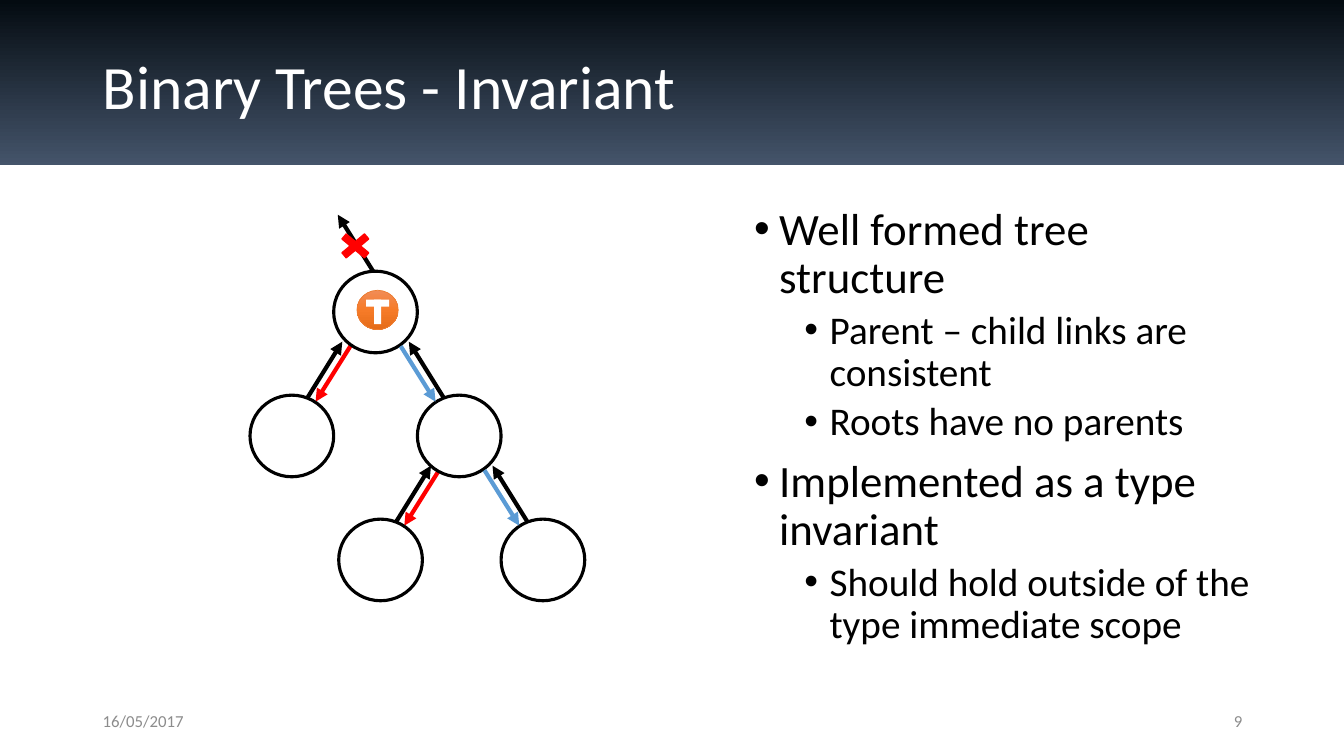
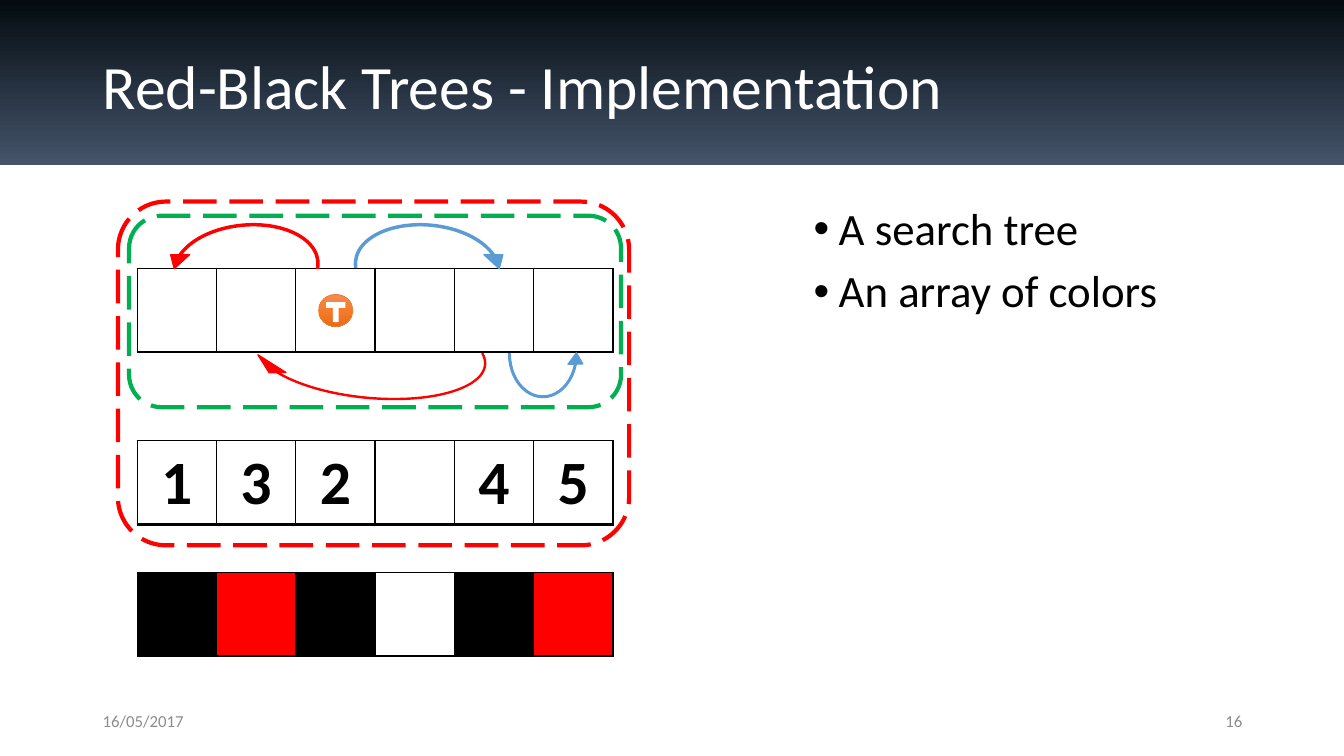
import copy

import lxml.etree
import pptx
import pptx.dml.color
import pptx.enum.dml
import pptx.enum.shapes
import pptx.enum.text
import pptx.oxml.ns
import pptx.util

COLORS = {
    "white": "FFFFFF", "black": "000000", "red": "FF0000", "green": "00B050",
    "blue": "5B9BD5", "orange": "ED7D31", "grey": "8C8C8C",
}
BAND_STOPS = [(0, "040B11"), (1, "44546A")]
BADGE_STOPS = [(0, "F18C57"), (0.5, "F67B28"), (1, "E56C19")]

# The slide is a grid of square cells, 133.3 columns by 75 rows.
CELL = pptx.util.Inches(0.1)
COLUMNS, ROWS = 133.3, 75
ARRAY_LEFT, ARRAY_WIDTH, ARRAY_HEIGHT = 13.6, 47.2, 8.3
NODE_WIDTH, NODE_HEIGHT = 8.3, 8.1

SHAPE = pptx.enum.shapes.MSO_SHAPE
ALIGN = pptx.enum.text.PP_ALIGN
MIDDLE = pptx.enum.text.MSO_ANCHOR.MIDDLE
FONT = {"name": "Calibri", "bold": False}
TITLE_FONT = FONT | {"size": pptx.util.Pt(44)}
FOOTER_FONT = FONT | {"size": pptx.util.Pt(12)}
KEY_FONT = TITLE_FONT | {"bold": True}
BULLET_LEVELS = [
    {"size": 32, "margin": 0.25, "before": 10},
    {"size": 28, "margin": 0.75, "before": 5},
]
BULLET_HANG = pptx.util.Inches(0.25)


def grid(*lengths):
    return [round(length * CELL) for length in lengths]


def rgb(name):
    return pptx.dml.color.RGBColor.from_string(COLORS.get(name, name))


def apply_format(target, values):
    for name, value in values.items():
        setattr(target, name, value)


def add_element(parent, tag, **attributes):
    return lxml.etree.SubElement(parent, pptx.oxml.ns.qn(tag), attributes)


def paint(fill, color):
    if color is None:
        fill.background()
    else:
        fill.solid()
        fill.fore_color.rgb = rgb(color)


def paint_gradient(shape, stops):
    """Fill the shape from top to bottom with (position, colour) stops."""
    shape.fill.gradient()
    shape.fill.gradient_angle = 270
    stop_list = shape._element.spPr.find(".//" + pptx.oxml.ns.qn("a:gsLst"))
    while len(stop_list) < len(stops):
        stop_list.append(copy.deepcopy(stop_list[0]))
    for stop, (position, color) in zip(shape.fill.gradient_stops, stops):
        stop.position = position
        stop.color.rgb = rgb(color)


def add_shape(page, kind, area, fill=None, line=None, weight=1, adjust=()):
    shape = page.shapes.add_shape(kind, *grid(*area))
    shape.shadow.inherit = False
    paint(shape.fill, fill)
    paint(shape.line.fill, line)
    if line:
        shape.line.width = pptx.util.Pt(weight)
    for index, value in enumerate(adjust):
        shape.adjustments[index] = value
    return shape


def write(paragraph, text, font, color):
    span = paragraph.add_run()
    span.text = text
    apply_format(span.font, font)
    span.font.color.rgb = rgb(color)


def add_box(page, area, **frame_format):
    frame = page.shapes.add_textbox(*grid(*area)).text_frame
    apply_format(frame, {"word_wrap": True} | frame_format)
    return frame


def add_label(page, area, text, font, color, **paragraph_format):
    para = add_box(page, area, vertical_anchor=MIDDLE).paragraphs[0]
    apply_format(para, paragraph_format)
    write(para, text, font, color)


def add_bullets(page, area, items):
    """Write (level, text) items as a bulleted list."""
    frame = add_box(page, area)
    for index, (level, text) in enumerate(items):
        style = BULLET_LEVELS[level]
        para = frame.add_paragraph() if index else frame.paragraphs[0]
        properties = para._p.get_or_add_pPr()
        properties.set("marL", str(pptx.util.Inches(style["margin"])))
        properties.set("indent", str(-BULLET_HANG))
        add_element(properties, "a:buFont", typeface="Arial")
        add_element(properties, "a:buChar", char="•")
        before = style["before"] if index else 0
        apply_format(para, {"level": level, "line_spacing": 0.9,
                            "space_before": pptx.util.Pt(before)})
        write(para, text, FONT | {"size": pptx.util.Pt(style["size"])}, "black")


def add_arrow(page, start, end, color):
    arrow = page.shapes.add_connector(
        pptx.enum.shapes.MSO_CONNECTOR.STRAIGHT, *grid(*start, *end))
    arrow.line.color.rgb = rgb(color)
    arrow.line.width = pptx.util.Pt(3)
    add_element(arrow.line._get_or_add_ln(), "a:tailEnd", type="triangle")
    add_element(arrow._element.spPr, "a:effectLst")


def add_link(page, child, side, start, end, color):
    """Draw an arrow by offsets from a child; side is 1 for a left child, else -1."""
    (x, y), ends = child, (start, end)
    add_arrow(page, *[(x + side * dx, y + dy) for dx, dy in ends], color)


def add_node(page, center):
    x, y = center
    add_shape(page, SHAPE.OVAL,
              (x - NODE_WIDTH / 2, y - NODE_HEIGHT / 2, NODE_WIDTH, NODE_HEIGHT),
              "white", "black", 2.25)


def add_root_badge(page, left, top, width, height):
    disc = add_shape(page, SHAPE.OVAL, (left, top, width, height), None, "orange", 0.5)
    paint_gradient(disc, BADGE_STOPS)
    for bar_width, bar_height in ((0.56, 0.18), (0.17, 0.62)):
        add_shape(page, SHAPE.RECTANGLE,
                  (left + width * (1 - bar_width) / 2, top + height * 0.24,
                   width * bar_width, height * bar_height), "white")


def add_arc(page, area, color, adjust, rotation=0, flips=()):
    arc = add_shape(page, SHAPE.CIRCULAR_ARROW, area, color, color, 1, adjust)
    arc.rotation = rotation
    for flip in flips:
        arc._element.spPr.xfrm.set(flip, "1")


def add_dashed_frame(page, area, color, corner):
    frame = add_shape(page, SHAPE.ROUNDED_RECTANGLE, area, None, color, 3, [corner])
    frame.line.dash_style = pptx.enum.dml.MSO_LINE.LONG_DASH


def add_border(cell, side, weight):
    border = add_element(cell._tc.get_or_add_tcPr(), "a:ln" + side,
                         w=str(pptx.util.Pt(weight)))
    fill = add_element(border, "a:solidFill")
    add_element(fill, "a:srgbClr", val=COLORS["black"])


def add_array(page, top, texts, fills):
    """Draw a one-row table of equal cells."""
    area = grid(ARRAY_LEFT, top, ARRAY_WIDTH, ARRAY_HEIGHT)
    table = page.shapes.add_table(1, len(texts), *area).table
    apply_format(table, {"first_row": False, "horz_banding": False})
    for cell, text, fill in zip(table.iter_cells(), texts, fills):
        for side, weight in zip("LRTB", (1, 1, 1, 2)):
            add_border(cell, side, weight)
        paint(cell.fill, fill)
        if text:
            para = cell.text_frame.paragraphs[0]
            para.alignment = ALIGN.CENTER
            write(para, text, KEY_FONT, "black")


def add_page(deck, title, number):
    """Add a blank slide with the band, title, date and slide number."""
    page = deck.slides.add_slide(deck.slide_layouts[6])
    band = add_shape(page, SHAPE.RECTANGLE, (0, 0, COLUMNS, 16.4))
    paint_gradient(band, BAND_STOPS)
    add_label(page, (9.2, 4, 115, 9.7), title, TITLE_FONT, "white", line_spacing=0.9)
    add_label(page, (9.2, 69.5, 30, 4), "16/05/2017", FOOTER_FONT, "grey")
    add_label(page, (94.2, 69.5, 30, 4), number, FOOTER_FONT, "grey",
              alignment=ALIGN.RIGHT)
    return page


def build_invariant(deck):
    page = add_page(deck, "Binary Trees - Invariant", "9")
    add_bullets(page, (73.8, 20, 51.8, 47.6), [
        (0, "Well formed tree structure"),
        (1, "Parent – child links are consistent"),
        (1, "Roots have no parents"),
        (0, "Implemented as a type invariant"),
        (1, "Should hold outside of the type immediate scope"),
    ])
    root_level, middle_level, leaf_level = [30.95 + 12.3 * depth for depth in range(3)]
    root = (37.25, root_level)
    left_children = [(28.95, middle_level), (37.75, leaf_level)]
    right_children = [(45.55, middle_level), (53.85, leaf_level)]
    down, up = [(5.8, -8.9), (2.35, -3.4)], [(1.55, -3.8), (5, -9.35)]
    for child in left_children:
        add_link(page, child, 1, *down, "red")
    for node in [root, *left_children, *right_children]:
        add_node(page, node)
    for child in right_children:
        add_link(page, child, -1, *down, "blue")
        add_link(page, child, -1, *up, "black")
    for child in left_children:
        add_link(page, child, 1, *up, "black")
    add_arrow(page, (37, 26.9), (33.5, 21.3), "black")
    add_shape(page, SHAPE.MATH_MULTIPLY, (33.1, 22.6, 4.3, 3.6), "red", "red", 1, [0.18])
    add_root_badge(page, 35.4, 28.8, 4.1, 3.9)


def build_implementation(deck):
    page = add_page(deck, "Red-Black Trees - Implementation", "16")
    add_bullets(page, (79.7, 20, 45.9, 47.6),
                [(0, "A search tree"), (0, "An array of colors")])
    blank = [None] * 6
    add_array(page, 26.6, blank, blank)
    add_dashed_frame(page, (12.8, 21.4, 48.8, 19), "green", 0.17)
    add_arc(page, (34.3, 21.4, 16.2, 10.4), "blue",
            (0.02, 7.15, 205.82, 105.06, 0.09), 5.5)
    add_arc(page, (49.8, 30.1, 8.1, 10), "blue",
            (0.02, 11.42, 205.4, 108, 0.09), flips=["flipV"])
    add_arc(page, (24.4, 29.9, 24.6, 10.4), "red",
            (0.01, 6.59, 205.81, 104.62, 0.08), 5.5, ["flipH", "flipV"])
    add_arc(page, (16.3, 21.4, 16.2, 10.4), "red",
            (0.02, 7.15, 205.82, 104.62, 0.09), 354.5, ["flipH"])
    add_root_badge(page, 31.6, 29.2, 3.4, 3.2)
    add_array(page, 43.7, ["1", "3", "2", None, "4", "5"], blank)
    add_dashed_frame(page, (11.7, 20, 50.7, 34.1), "red", 0.14)
    add_array(page, 56.8, blank, ["black", "red", "black", None, "black", "red"])


def main():
    deck = pptx.Presentation()
    deck.slide_width, deck.slide_height = grid(COLUMNS, ROWS)
    build_invariant(deck)
    build_implementation(deck)
    deck.save("out.pptx")


if __name__ == "__main__":
    main()
